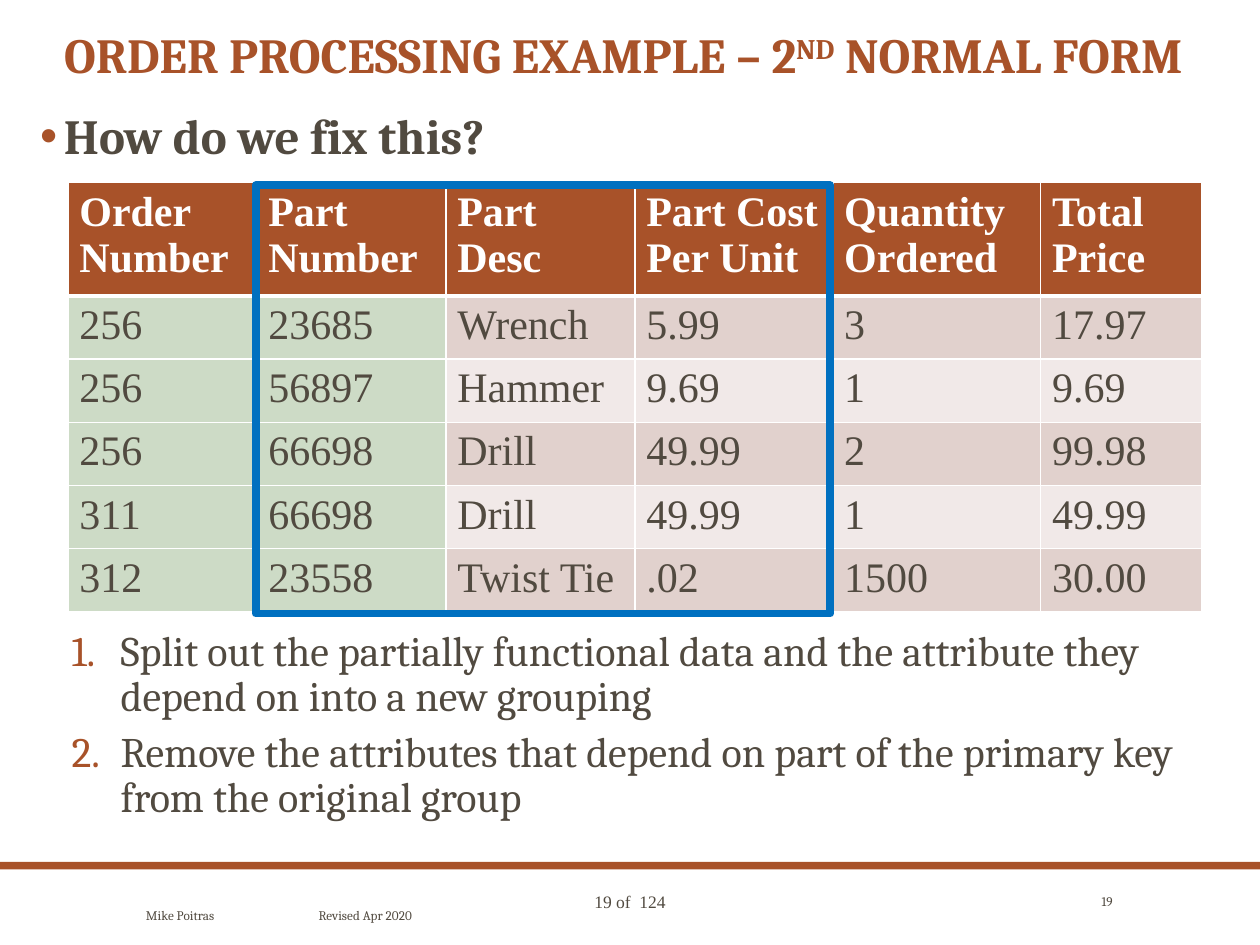
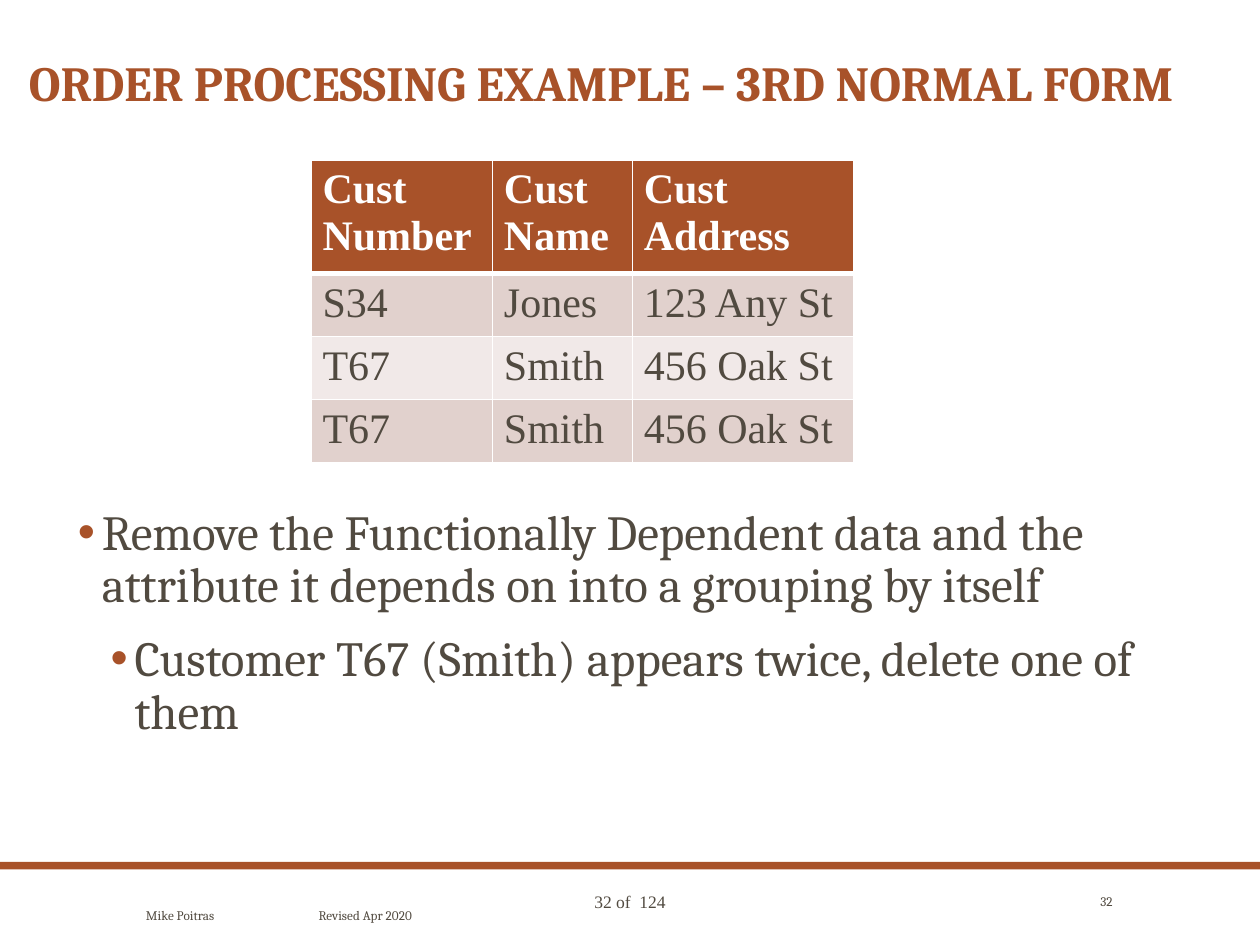
from lxml import etree
from pptx import Presentation
from pptx.dml.color import RGBColor
from pptx.enum.shapes import MSO_SHAPE
from pptx.enum.text import MSO_ANCHOR, MSO_AUTO_SIZE, PP_ALIGN
from pptx.oxml.ns import qn
from pptx.util import Inches, Pt

RECT = MSO_SHAPE.RECTANGLE
LEFT, CENTER, RIGHT = PP_ALIGN.LEFT, PP_ALIGN.CENTER, PP_ALIGN.RIGHT
TOP, MIDDLE = MSO_ANCHOR.TOP, MSO_ANCHOR.MIDDLE
NO_AUTOFIT = MSO_AUTO_SIZE.NONE

RUST = RGBColor(0xA8, 0x52, 0x29)
INK = RGBColor(0x51, 0x4A, 0x40)
WHITE = RGBColor(0xFF, 0xFF, 0xFF)
BLUE = RGBColor(0x00, 0x70, 0xC0)
KEY_GREEN = RGBColor(0xCD, 0xDB, 0xC6)
BANDS = (RGBColor(0xE1, 0xD1, 0xCD), RGBColor(0xF1, 0xE9, 0xE8))

SERIF, TABLE_FONT = "Cambria", "Times New Roman"
HEADER_HEIGHT, ROW_HEIGHT = 0.83, 0.47
PAGE_COUNT = 124

ORDER_ROWS = [
    ["Order\nNumber", "Part Number", "Part Desc", "Part Cost Per Unit",
     "Quantity Ordered", "Total Price"],
    ["256", "23685", "Wrench", "5.99", "3", "17.97"],
    ["256", "56897", "Hammer", "9.69", "1", "9.69"],
    ["256", "66698", "Drill", "49.99", "2", "99.98"],
    ["311", "66698", "Drill", "49.99", "1", "49.99"],
    ["312", "23558", "Twist Tie", ".02", "1500", "30.00"],
]
CUSTOMER_ROWS = [
    ["Cust Number", "Cust Name", "Cust\nAddress"],
    ["S34", "Jones", "123 Any St"],
    ["T67", "Smith", "456 Oak St"],
    ["T67", "Smith", "456 Oak St"],
]


def inches(*values):
    return [Inches(v) for v in values]


def add_run(p, text, size, color=INK, font=SERIF, bold=False):
    r = p.add_run()
    r.text = text
    r.font.size, r.font.name, r.font.bold = Pt(size), font, bold
    r.font.color.rgb = color
    return r


def set_bullet(p, indent, hanging, number=False):
    pPr = p._p.get_or_add_pPr()
    pPr.set("marL", str(Inches(indent)))
    pPr.set("indent", str(-Inches(hanging)))
    color = etree.SubElement(pPr, qn("a:buClr"))
    etree.SubElement(color, qn("a:srgbClr"), val=str(RUST))
    if number:
        etree.SubElement(pPr, qn("a:buFont"), typeface="+mj-lt")
        etree.SubElement(pPr, qn("a:buAutoNum"), type="arabicPeriod")
    else:
        etree.SubElement(pPr, qn("a:buFont"), typeface="Arial")
        etree.SubElement(pPr, qn("a:buChar"), char="•")


def set_borders(cell, top, bottom):
    """White borders: 1 pt at the sides, given points above and below."""
    tcPr = cell._tc.get_or_add_tcPr()
    for side, width in (("L", 1), ("R", 1), ("T", top), ("B", bottom)):
        ln = etree.SubElement(tcPr, qn("a:ln" + side), w=str(Pt(width)))
        fill = etree.SubElement(ln, qn("a:solidFill"))
        etree.SubElement(fill, qn("a:srgbClr"), val=str(WHITE))


class Deck:
    def __init__(self):
        self.prs = Presentation()
        self.prs.slide_width, self.prs.slide_height = inches(10, 7.5)
        self.s = None

    def new_slide(self, page):
        self.s = self.prs.slides.add_slide(self.prs.slide_layouts[5])
        self.rect(0, 6.84, 10, 0.06, fill=RUST)
        self.label(f"{page} of  {PAGE_COUNT}", 3.52, 7.02, 2.96, 0.27,
                   size=10, font=TABLE_FONT, align=CENTER, anchor=TOP)
        self.label("Mike Poitras", 1.06, 7.02, 1.3, 0.48)
        self.label("Revised Apr 2020", 2.43, 7.02, 1.5, 0.48)
        self.label(str(page), 8.36, 7.02, 0.57, 0.26, align=RIGHT)

    def title(self, parts, left, top, width):
        """Title from (text, is_superscript) parts."""
        sp = self.s.shapes.title
        sp.left, sp.top, sp.width, sp.height = inches(left, top, width, 0.55)
        tf = sp.text_frame
        tf.auto_size, tf.vertical_anchor = NO_AUTOFIT, TOP
        p = tf.paragraphs[0]
        p.alignment, p.line_spacing = LEFT, 0.9
        for text, superscript in parts:
            r = add_run(p, text, 28, RUST, bold=True)
            if superscript:
                r._r.get_or_add_rPr().set("baseline", "30000")

    def rect(self, left, top, width, height, fill=None, line=None):
        sp = self.s.shapes.add_shape(RECT, *inches(left, top, width, height))
        sp.shadow.inherit = False
        if fill is None:
            sp.fill.background()
        else:
            sp.fill.solid()
            sp.fill.fore_color.rgb = fill
        if line is None:
            sp.line.fill.background()
        else:
            sp.line.color.rgb = line
            sp.line.width = Pt(4.5)

    def text_frame(self, left, top, width, height):
        box = self.s.shapes.add_textbox(*inches(left, top, width, height))
        box.text_frame.word_wrap = True
        return box.text_frame

    def label(self, text, left, top, width, height, size=7.5, font=SERIF,
              align=LEFT, anchor=MIDDLE):
        tf = self.text_frame(left, top, width, height)
        tf.vertical_anchor = anchor
        p = tf.paragraphs[0]
        p.alignment = align
        add_run(p, text, size, font=font)

    def bullets(self, items, left, top, width, height, size=28, bold=False,
                number=False):
        """List of (level, text) items."""
        tf = self.text_frame(left, top, width, height)
        for i, (level, text) in enumerate(items):
            p = tf.add_paragraph() if i else tf.paragraphs[0]
            p.level, p.line_spacing = level, 0.9
            p.space_after = Pt(6 if level else 12)
            if number:
                set_bullet(p, 0.68, 0.39, number=True)
            else:
                set_bullet(p, 0.49 if level else 0.23, 0.19)
            add_run(p, text, size, bold=bold)

    def table(self, rows, left, top, widths, key_columns=0):
        height = HEADER_HEIGHT + ROW_HEIGHT * (len(rows) - 1)
        frame = self.s.shapes.add_table(
            len(rows), len(widths), *inches(left, top, sum(widths), height))
        table = frame.table
        for column, width in zip(table.columns, widths):
            column.width = Inches(width)
        for i, values in enumerate(rows):
            table.rows[i].height = Inches(ROW_HEIGHT if i else HEADER_HEIGHT)
            for j, text in enumerate(values):
                cell = table.cell(i, j)
                if i == 0:
                    fill = RUST
                else:
                    fill = KEY_GREEN if j < key_columns else BANDS[(i - 1) % 2]
                self.cell(cell, text, fill, i)

    def cell(self, cell, text, fill, row):
        cell.margin_left = cell.margin_right = Inches(0.09)
        set_borders(cell, 3 if row == 1 else 1, 1 if row else 3)
        cell.fill.solid()
        cell.fill.fore_color.rgb = fill
        tf = cell.text_frame
        for k, line in enumerate(text.split("\n")):
            p = tf.add_paragraph() if k else tf.paragraphs[0]
            add_run(p, line, 24, INK if row else WHITE, TABLE_FONT, not row)


def second_normal_form(deck):
    deck.new_slide(19)
    deck.title([("ORDER PROCESSING EXAMPLE – 2", False), ("ND", True),
                (" NORMAL FORM", False)], 0.41, 0.2, 9.43)
    deck.bullets([(0, "How do we fix this?")], 0.18, 0.84, 9.53, 0.55,
                 bold=True)
    deck.table(ORDER_ROWS, 0.54, 1.45, [1.5, 1.5, 1.5, 1.57, 1.65, 1.28],
               key_columns=2)
    deck.rect(2.03, 1.47, 4.56, 3.4, line=BLUE)
    deck.bullets([
        (1, "Split out the partially functional data and the attribute they "
            "depend on into a new grouping"),
        (1, "Remove the attributes that depend on part of the primary key "
            "from the original group"),
    ], 0.18, 4.95, 9.53, 1.8, size=24, number=True)


def third_normal_form(deck):
    deck.new_slide(32)
    deck.title([("ORDER PROCESSING EXAMPLE – 3RD NORMAL FORM", False)],
               0.13, 0.42, 9.62)
    deck.table(CUSTOMER_ROWS, 2.47, 1.27, [1.44, 1.11, 1.76])
    deck.bullets([
        (0, "Remove the Functionally Dependent data and the attribute it "
            "depends on into a grouping by itself"),
        (1, "Customer T67 (Smith) appears twice, delete one of them"),
    ], 0.48, 3.98, 9, 2.68)


def main():
    deck = Deck()
    second_normal_form(deck)
    third_normal_form(deck)
    deck.prs.save("out.pptx")


if __name__ == "__main__":
    main()
